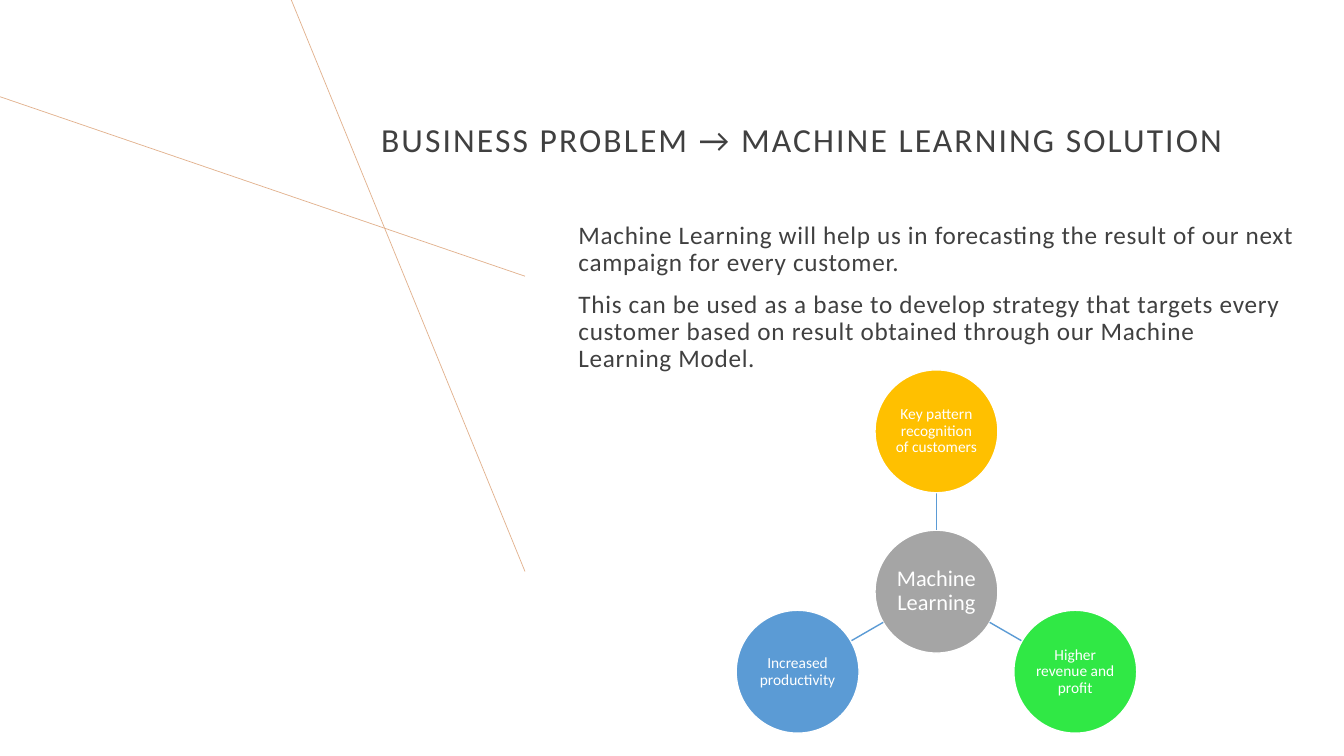
"""Build the slide that links a business problem to machine learning."""
from dataclasses import dataclass
from math import cos, radians, sin

from lxml import etree
from pptx import Presentation
from pptx.dml.color import RGBColor
from pptx.enum.shapes import MSO_CONNECTOR, MSO_SHAPE
from pptx.enum.text import MSO_ANCHOR, MSO_AUTO_SIZE, PP_ALIGN
from pptx.oxml.ns import qn
from pptx.util import Pt

OVAL = MSO_SHAPE.OVAL
LINE = MSO_CONNECTOR.STRAIGHT
LEFT, CENTER = PP_ALIGN.LEFT, PP_ALIGN.CENTER
BOTTOM, MIDDLE = MSO_ANCHOR.BOTTOM, MSO_ANCHOR.MIDDLE
FIXED = MSO_AUTO_SIZE.NONE

FONT = "Calibri"
DARK, WHITE, BLUE, TAN = "404040", "FFFFFF", "5B9BD5", "E2B18D"
HUB_X, HUB_Y = 668.9, 422.6
SIZE, ORBIT = 87.8, 114.5
NEAR, FAR = SIZE / 2, ORBIT - SIZE / 2


@dataclass
class Node:
    text: str
    fill: str
    angle: float


@dataclass
class Ray:
    x1: float
    y1: float
    x2: float
    y2: float


NODES = [
    Node("Key pattern recognition of customers", "FFC000", -90),
    Node("Higher revenue and profit", "30E845", 30),
    Node("Increased productivity", BLUE, 150),
]
RAYS = [Ray(375, 197.3, 0, 69.1), Ray(375, 408.2, 208.1, 0)]
BODY = [
    "Machine Learning will help us in forecasting the result of our next "
    "campaign for every customer.",
    "This can be used as a base to develop strategy that targets every "
    "customer based on result obtained through our Machine Learning Model.",
]


def paint(color, code: str) -> None:
    color.rgb = RGBColor.from_string(code)


def write(shape, lines: list[str], *, size: float, color: str = DARK,
          align=LEFT, anchor=BOTTOM, inset: float | None = None,
          before: float = 0, track: float = 0) -> None:
    frame = shape.text_frame
    frame.word_wrap = True
    frame.auto_size = FIXED
    frame.vertical_anchor = anchor
    if inset is not None:
        frame.margin_left = frame.margin_right = Pt(inset)
        frame.margin_top = frame.margin_bottom = Pt(inset)
    for i, line in enumerate(lines):
        para = frame.add_paragraph() if i else frame.paragraphs[0]
        para.alignment = align
        para.line_spacing = 0.9
        para.space_before = Pt(before)
        run = para.add_run()
        run.text = line
        run.font.name = FONT
        run.font.size = Pt(size)
        paint(run.font.color, color)
        if track:
            run.font._element.set("spc", str(round(track * 100)))


def draw_line(slide, ray: Ray, color: str, width: float) -> None:
    line = slide.shapes.add_connector(
        LINE, Pt(ray.x1), Pt(ray.y1), Pt(ray.x2), Pt(ray.y2))
    paint(line.line.color, color)
    line.line.width = Pt(width)
    etree.SubElement(line._element.spPr, qn("a:effectLst"))


def draw_disc(slide, x: float, y: float, text: str, fill: str,
              size: float) -> None:
    disc = slide.shapes.add_shape(
        OVAL, Pt(x - SIZE / 2), Pt(y - SIZE / 2), Pt(SIZE), Pt(SIZE))
    disc.shadow.inherit = False
    disc.fill.solid()
    paint(disc.fill.fore_color, fill)
    paint(disc.line.color, WHITE)
    disc.line.width = Pt(1)
    write(disc, [text], size=size, color=WHITE, align=CENTER,
          anchor=MIDDLE, inset=0.7)


def polar(angle: float, dist: float) -> tuple[float, float]:
    turn = radians(angle)
    return HUB_X + dist * cos(turn), HUB_Y + dist * sin(turn)


def main() -> None:
    deck = Presentation()
    deck.slide_width, deck.slide_height = Pt(960), Pt(540)
    slide = deck.slides.add_slide(deck.slide_layouts[5])

    for ray in RAYS:
        draw_line(slide, ray, TAN, 0.5)

    title = slide.shapes.title
    title.left, title.top = Pt(265), Pt(64.8)
    title.width, title.height = Pt(694.8), Pt(52.6)
    write(title, ["BUSINESS PROBLEM → MACHINE LEARNING SOLUTION"],
          size=24, track=1.5)

    body = slide.shapes.add_textbox(
        Pt(406.1), Pt(145.4), Pt(526.3), Pt(124.6))
    write(body, BODY, size=18, before=10, track=0.5)

    draw_disc(slide, HUB_X, HUB_Y, "Machine Learning", "A5A5A5", 16)
    for node in NODES:
        spoke = Ray(*polar(node.angle, NEAR), *polar(node.angle, FAR))
        draw_line(slide, spoke, BLUE, 1)
        draw_disc(slide, *polar(node.angle, ORBIT), node.text, node.fill, 11)

    deck.save("out.pptx")


if __name__ == "__main__":
    main()
